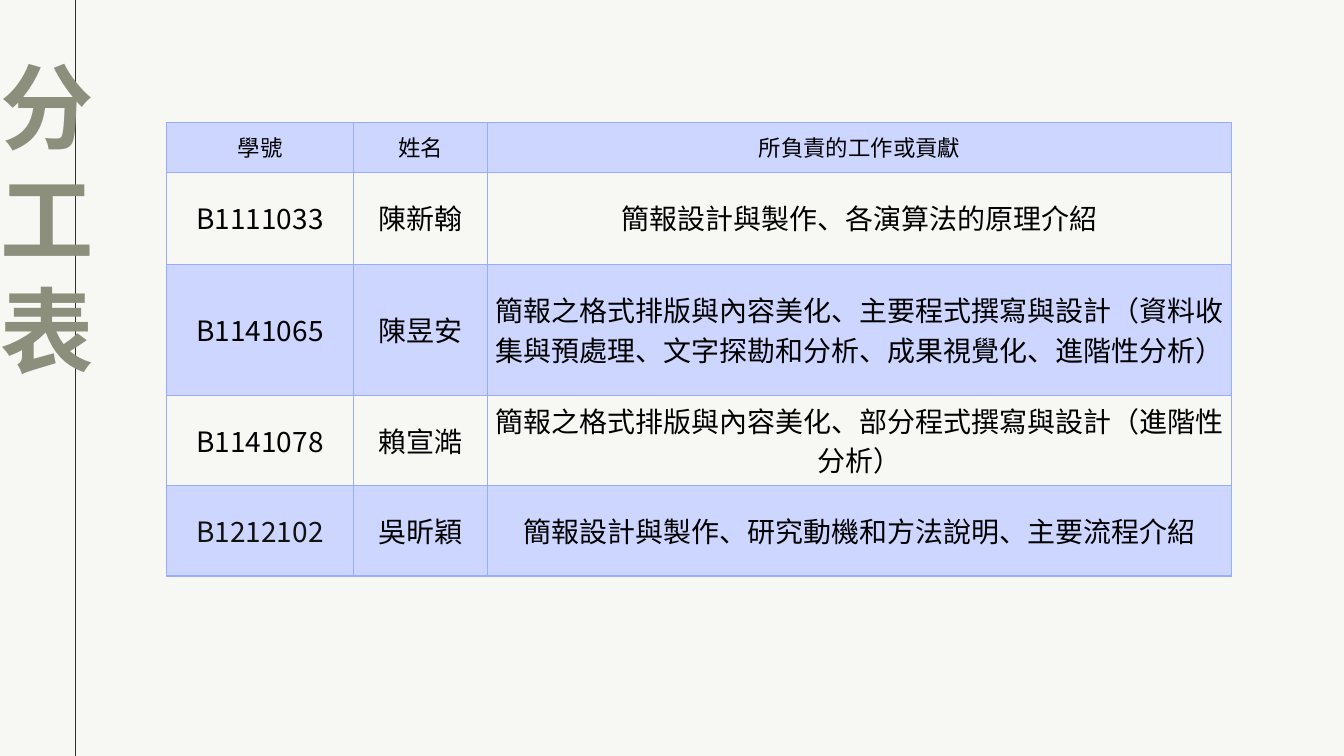
from pptx import Presentation
from pptx.dml.color import RGBColor
from pptx.enum.shapes import MSO_CONNECTOR
from pptx.enum.text import MSO_ANCHOR as ANCHOR, MSO_AUTO_SIZE as AUTO_SIZE, PP_ALIGN as ALIGN
from pptx.oxml import parse_xml
from pptx.oxml.ns import nsdecls
from pptx.util import Pt
from lxml.etree import SubElement

PX = 9525
INK = "000000"
LAVENDER = "CDD6FF"
BORDER = "99ACFF"


def color(value):
    return RGBColor.from_string(value)


def style_run(run, font_name, size, value, bold=False):
    font = run.font
    font.name, font.size, font.bold = font_name, Pt(size), bold
    font.color.rgb = color(value)
    properties = run._r.get_or_add_rPr()
    east_asian = parse_xml(f'<a:ea {nsdecls("a")} typeface="{font_name}"/>')
    properties.find("{*}latin").addnext(east_asian)


presentation = Presentation()
presentation.slide_width = 1920 * PX
presentation.slide_height = 1080 * PX
slide = presentation.slides.add_slide(presentation.slide_layouts[6])
slide.background.fill.solid()
slide.background.fill.fore_color.rgb = color("F7F7F3")

margin_line = slide.shapes.add_connector(
    MSO_CONNECTOR.STRAIGHT, 108 * PX, 1134 * PX, 108 * PX, -34 * PX)
margin_line.line.color.rgb = color("303030")
margin_line.line.width = Pt(0.75)
margin_line._element.spPr.append(parse_xml(f'<a:effectLst {nsdecls("a")}/>'))

title = slide.shapes.add_textbox(0, 70 * PX, 160 * PX, 485 * PX)
title_frame = title.text_frame
title_frame.word_wrap = True
title_frame.auto_size = AUTO_SIZE.SHAPE_TO_FIT_TEXT
title_frame.margin_left = title_frame.margin_right = 0
title_frame.margin_top = title_frame.margin_bottom = 0
title_frame.text = "分工表"
title_frame.paragraphs[0].alignment = ALIGN.JUSTIFY
style_run(title_frame.paragraphs[0].runs[0], "Lato", 100, "8C8F7B", True)

rows = [
    ("學號", "姓名", "所負責的工作或貢獻"),
    ("B1111033", "陳新翰", "簡報設計與製作、各演算法的原理介紹"),
    ("B1141065", "陳昱安",
     "簡報之格式排版與內容美化、主要程式撰寫與設計"
     "（資料收集與預處理、文字探勘和分析、成果視覺化、進階性分析）"),
    ("B1141078", "賴宣澔", "簡報之格式排版與內容美化、部分程式撰寫與設計（進階性分析）"),
    ("B1212102", "吳昕穎", "簡報設計與製作、研究動機和方法說明、主要流程介紹"),
]
column_widths = [267, 192, 1062]
row_heights = [71, 132, 187, 129, 129]

table = slide.shapes.add_table(
    len(rows), len(column_widths), 238 * PX, 175 * PX,
    sum(column_widths) * PX, sum(row_heights) * PX).table
for column, width in zip(table.columns, column_widths):
    column.width = width * PX
for row, height in zip(table.rows, row_heights):
    row.height = height * PX

for row_index, texts in enumerate(rows):
    size = 30 if row_index else 24
    for column_index, text in enumerate(texts):
        cell = table.cell(row_index, column_index)
        cell.margin_left = cell.margin_right = 6 * PX
        cell.margin_top = cell.margin_bottom = 6 * PX
        cell.vertical_anchor = ANCHOR.MIDDLE
        cell.text_frame.text = text
        paragraph = cell.text_frame.paragraphs[0]
        paragraph.alignment = ALIGN.CENTER
        paragraph.line_spacing = Pt(size * 1.4)
        ink = "111111" if text == "B1212102" else INK
        style_run(paragraph.runs[0], "Noto Sans CJK SC", size, ink)

        cell_properties = cell._tc.get_or_add_tcPr()
        for side in ("lnL", "lnR", "lnT", "lnB"):
            cell_properties.append(parse_xml(
                f'<a:{side} {nsdecls("a")} w="{Pt(1.5)}"><a:solidFill>'
                f'<a:srgbClr val="{BORDER}"/></a:solidFill></a:{side}>'))
        if row_index % 2:
            cell.fill.background()
        else:
            cell.fill.solid()
            cell.fill.fore_color.rgb = color(LAVENDER)

presentation.save("out.pptx")
